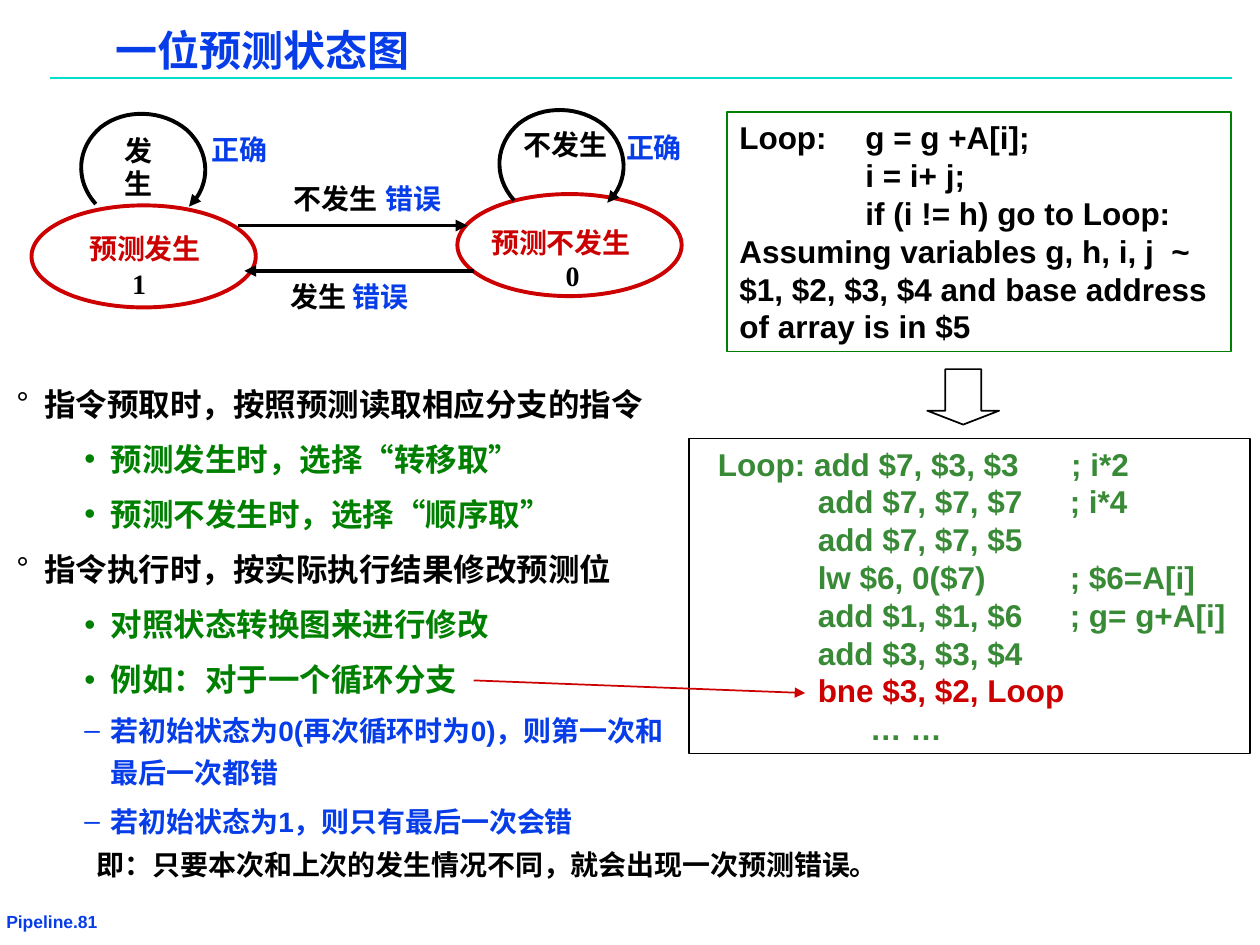
from pptx import Presentation
from pptx.dml.color import RGBColor
from pptx.enum.shapes import MSO_CONNECTOR, MSO_SHAPE
from pptx.enum.text import MSO_ANCHOR, PP_ALIGN
from pptx.oxml.ns import qn
from pptx.util import Inches, Pt
from lxml.etree import SubElement

BLACK = RGBColor(0x00, 0x00, 0x00)
BLUE = RGBColor(0x06, 0x3D, 0xE8)
RED = RGBColor(0xCC, 0x00, 0x00)
GREEN = RGBColor(0x00, 0x80, 0x00)
CODE_GREEN = RGBColor(0x38, 0x8A, 0x36)
TEAL = RGBColor(0x00, 0xDF, 0xCA)
SANS, SERIF = "Arial", "Times New Roman"
NARROW, NORMAL = (0.07, 0.03, 0.07, 0.03), (0.1, 0.05, 0.1, 0.05)

# Content
TITLE = "一位预测状态图"
FOOTER = "Pipeline.81"

# bullet level: sign, margin, hanging indent, size, colour, space before
LEVELS = {
    "rule": ("°", 0.22, 0.22, 18, BLACK, 4.5),
    "case": ("•", 0.75, 0.21, 18, GREEN, 4.5),
    "detail": ("–", 0.75, 0.21, 16, BLUE, 4),
}
BULLETS = [
    ("rule", "指令预取时，按照预测读取相应分支的指令"),
    ("case", "预测发生时，选择“转移取”"),
    ("case", "预测不发生时，选择“顺序取”"),
    ("rule", "指令执行时，按实际执行结果修改预测位"),
    ("case", "对照状态转换图来进行修改"),
    ("case", "例如：对于一个循环分支"),
    ("detail", "若初始状态为0(再次循环时为0)，则第一次和最后一次都错"),
    ("detail", "若初始状态为1，则只有最后一次会错"),
]

# state ellipses and self-loops: left, top
STATES = [(0.25, 1.63), (3.63, 1.54)]
LOOP_OFFSETS = [(0, 0), (3.32, -0.03)]
LOOP_CURVE = [(0.76, 1.62),
              (0.59, 1.43), (0.61, 1.17), (0.8, 1.01),
              (0.99, 0.86), (1.29, 0.87), (1.48, 1.03),
              (1.67, 1.2), (1.68, 1.47), (1.5, 1.64)]

# diagram labels: text, left, top, width, height, colour
LABELS = [
    ("预测发生", 0.61, 1.79, 1.27, 0.37, RED),
    ("发生", 0.89, 1.01, 0.63, 0.64, BLACK),
    ("不发生", 4.06, 0.96, 0.9, 0.37, BLACK),
    ("预测不发生", 3.8, 1.74, 1.45, 0.37, RED),
    ("不发生", 2.23, 1.39, 0.97, 0.37, BLACK),
    ("发生", 2.21, 2.17, 0.8, 0.37, BLACK),
    ("1", 0.95, 2.07, 0.63, 0.37, BLACK),
    ("0", 4.39, 2, 0.63, 0.37, BLACK),
    ("正确", 1.58, 1, 0.81, 0.37, BLUE),
    ("错误", 2.96, 1.39, 0.81, 0.37, BLUE),
    ("错误", 2.7, 2.17, 0.81, 0.37, BLUE),
    ("正确", 4.87, 0.99, 0.81, 0.37, BLUE),
    ("即：只要本次和上次的发生情况不同，就会出现一次预测错误。",
     0.67, 6.68, 6.9, 0.37, BLACK),
]

SOURCE_CODE = [
    "Loop:\tg = g +A[i];",
    "\ti = i+ j;",
    "\tif (i != h) go to Loop:",
    "Assuming variables g, h, i, j  ~ $1, $2, $3, $4 and base address",
    "of array is in $5",
]
ASSEMBLY = [
    "   Loop: add $7, $3, $3      ; i*2",
    "\tadd $7, $7, $7\t; i*4",
    "\tadd $7, $7, $5",
    "\tlw $6, 0($7)\t; $6=A[i]",
    "\tadd $1, $1, $6\t; g= g+A[i]",
    "\tadd $3, $3, $4",
    "\tbne $3, $2, Loop",
    "\t      … …",
]
BRANCH_LINE = 6

prs = Presentation()
prs.slide_width, prs.slide_height = Inches(10), Inches(7.5)
slide = prs.slides.add_slide(prs.slide_layouts[6])
shapes = slide.shapes


def box(*place):
    return [Inches(v) for v in place]


def style(paragraph, font, size, color):
    paragraph.alignment = PP_ALIGN.LEFT
    for run in paragraph.runs:
        run.font.name, run.font.size = font, Pt(size)
        run.font.bold, run.font.color.rgb = True, color


def set_frame(frame, insets, wrap=True):
    frame.word_wrap, frame.vertical_anchor = wrap, MSO_ANCHOR.TOP
    (frame.margin_left, frame.margin_top,
     frame.margin_right, frame.margin_bottom) = box(*insets)


def add_text(text, place, font, size, color, insets=NORMAL, wrap=True):
    frame = shapes.add_textbox(*box(*place)).text_frame
    set_frame(frame, insets, wrap)
    frame.text = text
    style(frame.paragraphs[0], font, size, color)
    return frame


def add_outline(kind, place, color, width):
    outline = shapes.add_shape(kind, *box(*place))
    outline.shadow.inherit = False
    outline.fill.background()
    outline.line.color.rgb, outline.line.width = color, Pt(width)
    return outline


def add_arrowhead(line):
    SubElement(line.line._get_or_add_ln(), qn("a:tailEnd"), type="triangle")


def add_line(start, end, color, width, arrow=True):
    line = shapes.add_connector(MSO_CONNECTOR.STRAIGHT, *box(*start, *end))
    line.line.color.rgb, line.line.width = color, Pt(width)
    if arrow:
        add_arrowhead(line)
    SubElement(line._element.spPr, qn("a:effectLst"))


def add_code(lines, place, outline_color, text_color, insets=NORMAL):
    frame = add_outline(MSO_SHAPE.RECTANGLE, place, outline_color, 1).text_frame
    set_frame(frame, insets)
    frame.text = "\n".join(lines)
    for paragraph in frame.paragraphs:
        tabs = SubElement(paragraph._p.get_or_add_pPr(), qn("a:tabLst"))
        for stop in range(1, 5):
            SubElement(tabs, qn("a:tab"), pos=str(Inches(stop)), algn="l")
        style(paragraph, SANS, 18, text_color)
    return frame


def sample_curve(points, steps=16):
    """Points along a chain of cubic Bezier curves."""
    sampled = [points[0]]
    for i in range(0, len(points) - 1, 3):
        for t in (n / steps for n in range(1, steps + 1)):
            weights = ((1 - t) ** 3, 3 * t * (1 - t) ** 2, 3 * t * t * (1 - t), t ** 3)
            sampled.append(tuple(sum(w * p[axis] for w, p in zip(weights, points[i:i + 4]))
                                 for axis in (0, 1)))
    return sampled


# Footer, title and rule
add_text(FOOTER, (-0.02, 7.2, 1.38, 0.22), SANS, 10, BLUE, NARROW, wrap=False)
add_line((0.4, 0.62), (9.78, 0.62), TEAL, 1, arrow=False)
title = add_text(TITLE, (0.85, 0.22, 7.51, 0.4), SANS, 24, BLUE, NARROW)
title.paragraphs[0].line_spacing = 0.87

# Bullets
body = shapes.add_textbox(*box(0.06, 2.95, 5.47, 4.16)).text_frame
set_frame(body, NARROW)
body.text = "\n".join(text for _, text in BULLETS)
for i, (paragraph, (level, _)) in enumerate(zip(body.paragraphs, BULLETS)):
    sign, margin, hanging, size, color, before = LEVELS[level]
    paragraph.line_spacing = 1.25
    if i:
        paragraph.space_before = Pt(before)
    props = paragraph._p.get_or_add_pPr()
    props.set("marL", str(Inches(margin)))
    props.set("indent", str(-Inches(hanging)))
    SubElement(SubElement(props, qn("a:buClr")), qn("a:srgbClr"), val=str(color))
    SubElement(props, qn("a:buFont"), typeface=SANS)
    SubElement(props, qn("a:buChar"), char=sign)
    style(paragraph, SANS, size, color)

# State diagram
for left, top in STATES:
    add_outline(MSO_SHAPE.OVAL, (left, top, 1.78, 0.81), RED, 2.25)
for dx, dy in LOOP_OFFSETS:
    curve = [box(x + dx, y + dy) for x, y in sample_curve(LOOP_CURVE)]
    builder = shapes.build_freeform(*curve[0])
    builder.add_line_segments(curve[1:], close=False)
    self_loop = builder.convert_to_shape()
    self_loop.shadow.inherit = False
    self_loop.fill.background()
    self_loop.line.color.rgb, self_loop.line.width = BLACK, Pt(2.25)
    add_arrowhead(self_loop)
add_line((1.89, 1.79), (3.71, 1.79), BLACK, 2.25)
add_line((3.76, 2.15), (1.94, 2.15), BLACK, 2.25)
for text, *place, color in LABELS:
    add_text(text, place, SERIF, 16, color)

# Code and its translation
assembly = add_code(ASSEMBLY, (5.47, 3.48, 4.45, 2.5), BLACK, CODE_GREEN,
                    (0.02, 0.05, 0.1, 0.05))
style(assembly.paragraphs[BRANCH_LINE], SANS, 18, RED)
add_code(SOURCE_CODE, (5.77, 0.89, 4, 1.9), GREEN, BLACK)
add_outline(MSO_SHAPE.DOWN_ARROW, (7.36, 2.93, 0.57, 0.44), BLACK, 1).adjustments[1] = 0.25
add_line((3.76, 5.4), (6.39, 5.5), RED, 1)

prs.save("out.pptx")
